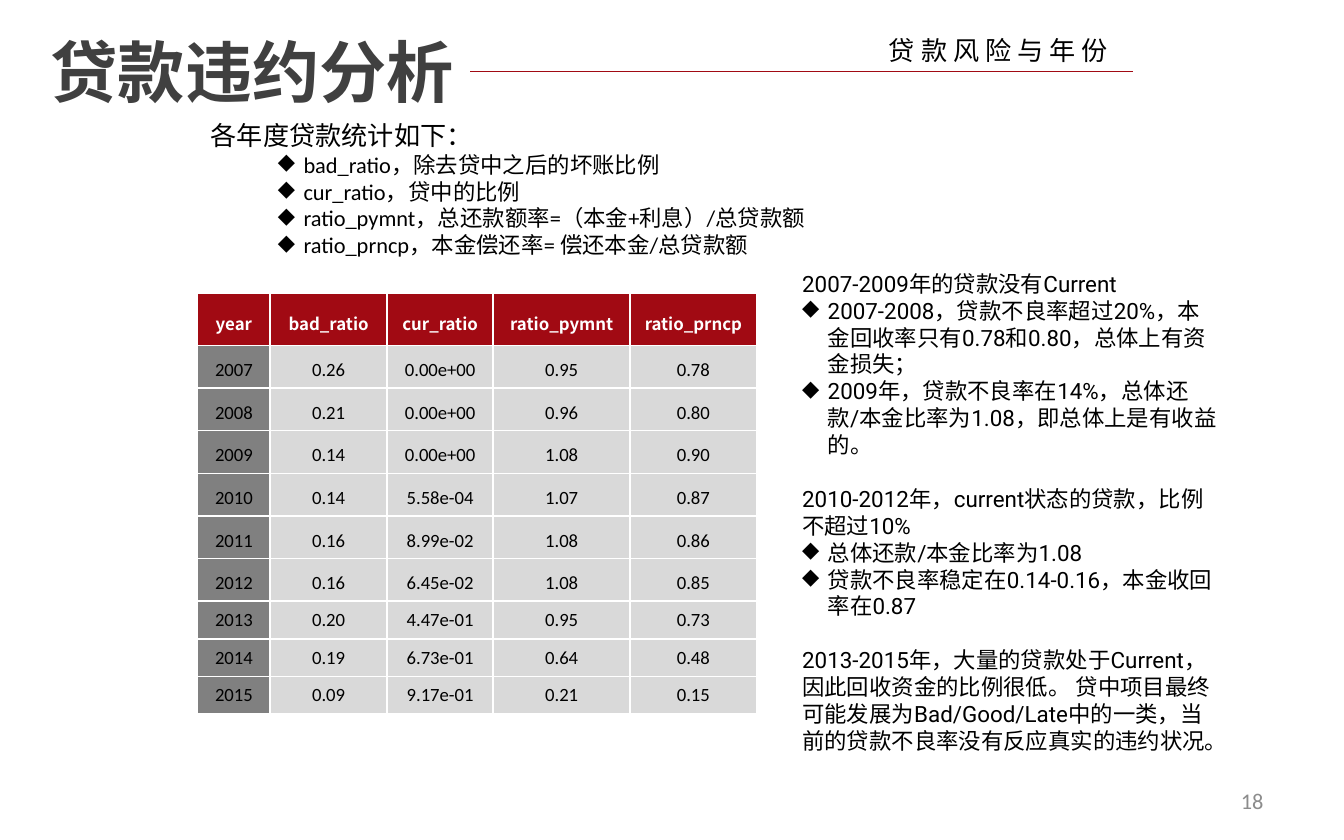
from lxml.etree import SubElement as Sub
from pptx import Presentation
from pptx.dml.color import RGBColor as RGB
from pptx.enum.lang import MSO_LANGUAGE_ID as Lang
from pptx.enum.shapes import MSO_CONNECTOR as Conn
from pptx.enum.text import MSO_ANCHOR as Anchor, MSO_AUTO_SIZE as Auto, PP_ALIGN as Align
from pptx.oxml.ns import qn
from pptx.util import Inches, Pt

COLORS = {"title": "404040", "text": "000000", "page": "8C8C8C", "red": "A10A13",
          "year": "808080", "cell": "D9D9D9", "white": "FFFFFF"}
HAN = "Noto Sans CJK SC"

INTRO = [
    ("各年度贷款统计如下：", {"size": 14}),
    ("bad_ratio，除去贷中之后的坏账比例", {"level": 1, "left": 0.69}),
    ("cur_ratio，贷中的比例", {"level": 1, "left": 0.69}),
    ("ratio_pymnt，总还款额率=（本金+利息）/总贷款额", {"level": 1, "left": 0.69}),
    ("ratio_prncp，本金偿还率= 偿还本金/总贷款额", {"level": 1, "left": 0.69}),
]
NOTES = [
    ("2007-2009年的贷款没有Current", {}),
    ("2007-2008，贷款不良率超过20%，本金回收率只有0.78和0.80，总体上有资金损失；", {"left": 0.19}),
    ("2009年，贷款不良率在14%，总体还款/本金比率为1.08，即总体上是有收益的。", {"left": 0.19}),
    ("2010-2012年，current状态的贷款，比例不超过10%", {"before": 14.4}),
    ("总体还款/本金比率为1.08", {"left": 0.19}),
    ("贷款不良率稳定在0.14-0.16，本金收回率在0.87", {"left": 0.19}),
    ("2013-2015年，大量的贷款处于Current，因此回收资金的比例很低。 贷中项目最终可能发展为"
     "Bad/Good/Late中的一类，当前的贷款不良率没有反应真实的违约状况。", {"before": 14.4}),
]
ROWS = [
    ("year", "bad_ratio", "cur_ratio", "ratio_pymnt", "ratio_prncp"),
    ("2007", "0.26", "0.00e+00", "0.95", "0.78"),
    ("2008", "0.21", "0.00e+00", "0.96", "0.80"),
    ("2009", "0.14", "0.00e+00", "1.08", "0.90"),
    ("2010", "0.14", "5.58e-04", "1.07", "0.87"),
    ("2011", "0.16", "8.99e-02", "1.08", "0.86"),
    ("2012", "0.16", "6.45e-02", "1.08", "0.85"),
    ("2013", "0.20", "4.47e-01", "0.95", "0.73"),
    ("2014", "0.19", "6.73e-01", "0.64", "0.48"),
    ("2015", "0.09", "9.17e-01", "0.21", "0.15"),
]
WIDTHS = (0.54, 0.87, 0.79, 1.02, 0.94)


def assign(obj, **vals):
    for key, val in vals.items():
        setattr(obj, key, val)


def write(para, text, size, font, color="text", bold=False):
    run = para.add_run()
    run.text = text
    assign(run.font, size=Pt(size), name=font, bold=bold,
           language_id=Lang.SIMPLIFIED_CHINESE)
    run.font.color.rgb = RGB.from_string(COLORS[color])


def bullet(para, left):
    props = para._p.get_or_add_pPr()
    props.set("marL", str(Inches(left)))
    props.set("indent", str(-Inches(0.19)))
    Sub(props, qn("a:buChar"), char="◆")


def add_text(slide, box, paras, size, font, color="text", bold=False,
             align=Align.LEFT, **frame):
    shape = slide.shapes.add_textbox(*map(Inches, box))
    body = shape.text_frame
    assign(body, **{"word_wrap": True, "auto_size": Auto.SHAPE_TO_FIT_TEXT, **frame})
    for num, (text, fmt) in enumerate(paras):
        para = body.add_paragraph() if num else body.paragraphs[0]
        assign(para, alignment=align, level=fmt.get("level", 0),
               space_before=Pt(fmt.get("before", 0)))
        if "left" in fmt:
            bullet(para, fmt["left"])
        write(para, text, fmt.get("size", size), font, color, bold)


def add_rule(slide, start, end):
    line = slide.shapes.add_connector(Conn.STRAIGHT, *map(Inches, start + end))
    line.line.color.rgb = RGB.from_string(COLORS["red"])
    line.line.width = Pt(0.5)
    Sub(line._element.spPr, qn("a:effectLst"))


def add_borders(cell):
    props = cell._tc.get_or_add_tcPr()
    for num, side in enumerate("LRTB"):
        edge = Sub(props, qn(f"a:ln{side}"), w=str(Pt(1)))
        Sub(Sub(edge, qn("a:solidFill")), qn("a:srgbClr"), val=COLORS["white"])
        props.insert(num, edge)


def fill_cell(cell, text, row, col):
    head = row == 0
    shade = "red" if head else "cell" if col else "year"
    cell.fill.solid()
    cell.fill.fore_color.rgb = RGB.from_string(COLORS[shade])
    cell.vertical_anchor = Anchor.MIDDLE
    para = cell.text_frame.paragraphs[0]
    para.alignment = Align.CENTER
    if row < 7:  # the last three years are set tighter
        para.line_spacing = 1.3
    if head:
        write(para, text, 9, HAN, "white", True)
    else:
        write(para, text, 10, "Calibri")
    add_borders(cell)


def add_stats(slide):
    box = map(Inches, (1.47, 2.18, sum(WIDTHS), 3.13))
    table = slide.shapes.add_table(len(ROWS), len(WIDTHS), *box).table
    assign(table, first_row=False, horz_banding=False)
    for col, width in zip(table.columns, WIDTHS):
        col.width = Inches(width)
    for row, texts in enumerate(ROWS):
        table.rows[row].height = Inches(0.28 if row else 0.39)
        for col, text in enumerate(texts):
            fill_cell(table.cell(row, col), text, row, col)
    assign(table.cell(0, 0), margin_left=Inches(0.05), margin_right=Inches(0.05),
           margin_top=Inches(0.03), margin_bottom=Inches(0.03))


def main():
    deck = Presentation()
    assign(deck, slide_width=Inches(10), slide_height=Inches(6.25))
    slide = deck.slides.add_slide(deck.slide_layouts[6])

    # Title and introduction
    add_text(slide, (0.28, 0.18, 4.33, 0.71), [("贷款违约分析", {})], 36, HAN, "title", True)
    add_text(slide, (1.47, 0.84, 7.07, 1.14), INTRO, 12, "Calibri")

    # Page number
    add_text(slide, (7.17, 5.79, 2.33, 0.33), [("18", {})], 12, "Calibri", "page",
             align=Align.RIGHT, auto_size=Auto.NONE, vertical_anchor=Anchor.MIDDLE)

    # Section heading and its rule
    add_rule(slide, (3.5, 0.53), (8.43, 0.53))
    add_text(slide, (6.42, 0.21, 1.92, 0.34), [("贷 款 风 险 与 年 份", {})], 14, HAN,
             align=Align.RIGHT, word_wrap=False)

    # Yearly figures and remarks
    add_stats(slide)
    add_text(slide, (5.87, 1.96, 3.31, 3.74), NOTES, 12, "Roboto")

    deck.save("out.pptx")


if __name__ == "__main__":
    main()
